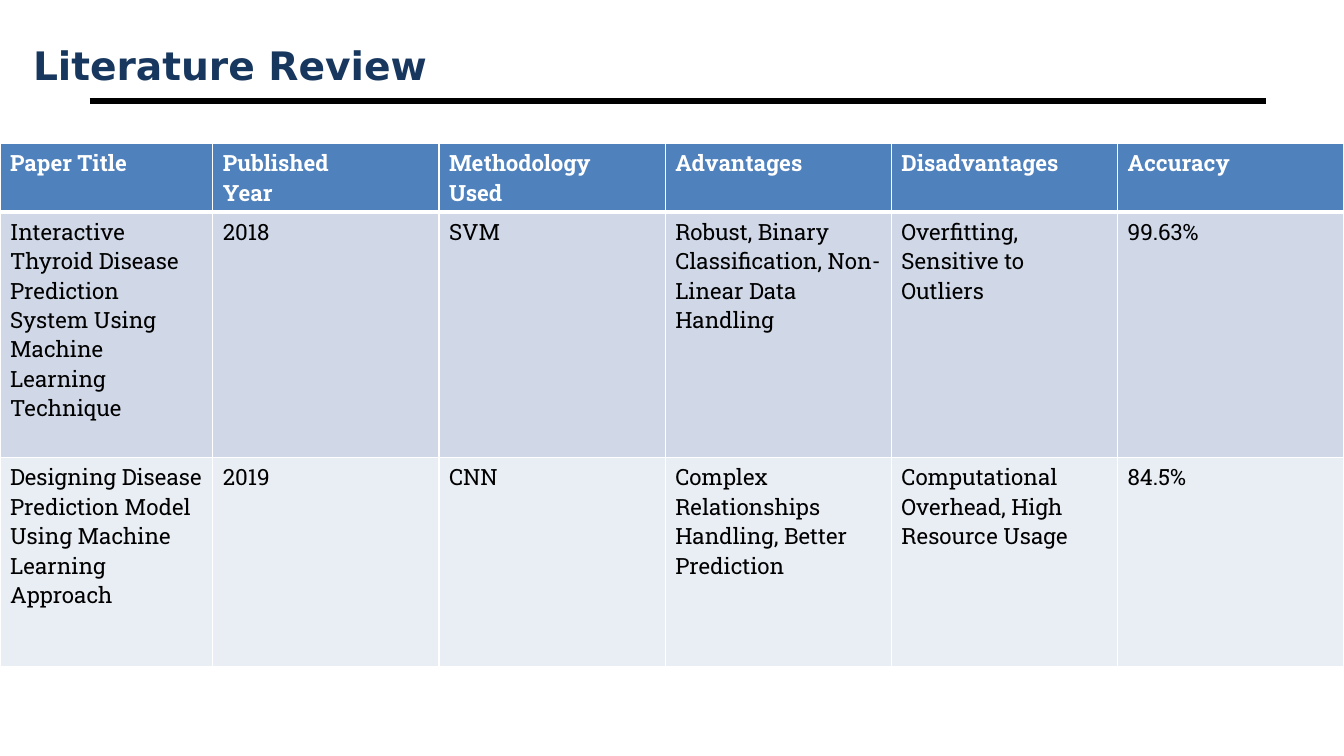
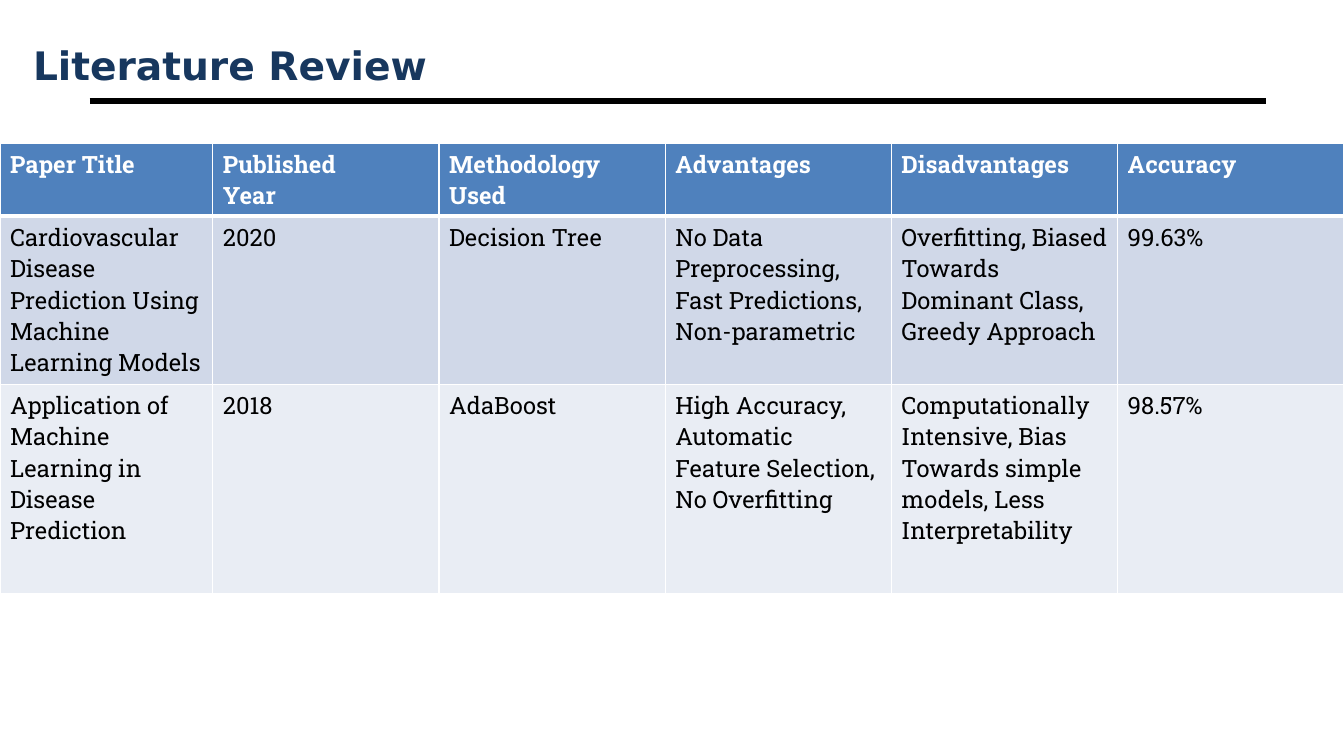
from dataclasses import dataclass

from lxml.etree import SubElement
from pptx import Presentation
from pptx.dml.color import RGBColor
from pptx.enum.shapes import MSO_CONNECTOR
from pptx.enum.text import MSO_ANCHOR
from pptx.oxml.ns import qn
from pptx.presentation import Presentation as Deck
from pptx.slide import Slide
from pptx.table import _Cell as Cell
from pptx.util import Pt

STRAIGHT = MSO_CONNECTOR.STRAIGHT
MIDDLE = MSO_ANCHOR.MIDDLE


@dataclass(frozen=True)
class Theme:
    title: str = "17375E"
    rule: str = "000000"
    head: str = "4F81BD"
    bands: tuple[str, str] = ("D0D8E8", "E9EDF4")
    ink: str = "000000"
    white: str = "FFFFFF"
    title_font: str = "DejaVu Sans"
    body_font: str = "Roboto Slab"
    title_size: float = 28
    rule_width: float = 4.5
    thin: float = 1
    thick: float = 3


@dataclass(frozen=True)
class Paper:
    title: str
    year: str
    method: str
    pros: str
    cons: str
    score: str

    def cells(self) -> tuple[str, ...]:
        return self.title, self.year, self.method, self.pros, self.cons, self.score


@dataclass(frozen=True)
class Review:
    size: float
    heights: tuple[float, float, float]
    papers: tuple[Paper, Paper]


THEME = Theme()
WIDTH, HEIGHT = 960, 540
TITLE = "Literature Review"
TITLE_LEFT, TITLE_TOP, TITLE_HEIGHT = 16.5, 27.4, 38.2
RULE_LEFT, RULE_RIGHT, RULE_TOP = 64, 904, 72
TABLE_TOP = 102.4
FIRST_WIDTH = 152
HEADS = ("Paper Title", "Published \nYear", "Methodology\nUsed",
         "Advantages", "Disadvantages", "Accuracy")

REVIEWS = (
    Review(16, (49, 175.5, 149.5), (
        Paper("Interactive Thyroid Disease Prediction System Using Machine Learning Technique",
              "2018", "SVM",
              "Robust, Binary Classification, Non-Linear Data Handling",
              "Overfitting, Sensitive to Outliers", "99.63%"),
        Paper("Designing Disease Prediction Model Using Machine Learning Approach",
              "2019", "CNN",
              "Complex Relationships Handling, Better Prediction",
              "Computational Overhead, High Resource Usage", "84.5%"),
    )),
    Review(17, (52, 120, 149.5), (
        Paper("Cardiovascular Disease Prediction Using Machine Learning Models",
              "2020", "Decision Tree",
              "No Data Preprocessing, Fast Predictions, Non-parametric",
              "Overfitting, Biased Towards Dominant Class, Greedy Approach", "99.63%"),
        Paper("Application of Machine Learning in Disease Prediction",
              "2018", "AdaBoost",
              "High Accuracy, Automatic Feature Selection, No Overfitting",
              "Computationally Intensive, Bias Towards simple models, Less Interpretability",
              "98.57%"),
    )),
)


def rgb(code: str) -> RGBColor:
    return RGBColor.from_string(code)


def add_rule(slide: Slide) -> None:
    rule = slide.shapes.add_connector(
        STRAIGHT, Pt(RULE_LEFT), Pt(RULE_TOP), Pt(RULE_RIGHT), Pt(RULE_TOP))
    rule.line.color.rgb = rgb(THEME.rule)
    rule.line.width = Pt(THEME.rule_width)
    SubElement(rule._element.spPr, qn("a:effectLst"))


def add_title(slide: Slide) -> None:
    box = slide.shapes.add_textbox(
        Pt(TITLE_LEFT), Pt(TITLE_TOP), Pt(WIDTH - TITLE_LEFT), Pt(TITLE_HEIGHT))
    frame = box.text_frame
    frame.word_wrap = True
    frame.vertical_anchor = MIDDLE
    frame.text = TITLE
    font = frame.paragraphs[0].font
    font.name = THEME.title_font
    font.size = Pt(THEME.title_size)
    font.bold = True
    font.color.rgb = rgb(THEME.title)


def add_edges(cell: Cell, top: float, base: float) -> None:
    props = cell._tc.get_or_add_tcPr()
    edges = {"L": THEME.thin, "R": THEME.thin, "T": top, "B": base}
    for side, width in edges.items():
        line = SubElement(props, qn(f"a:ln{side}"), w=str(Pt(width)))
        fill = SubElement(line, qn("a:solidFill"))
        SubElement(fill, qn("a:srgbClr"), val=THEME.white)


def fill_cell(cell: Cell, text: str, size: float, row: int) -> None:
    head = row == 0
    add_edges(cell, THEME.thick if row == 1 else THEME.thin,
              THEME.thick if head else THEME.thin)
    cell.fill.solid()
    cell.fill.fore_color.rgb = rgb(THEME.head if head else THEME.bands[(row - 1) % 2])
    cell.text = text
    for para in cell.text_frame.paragraphs:
        para.font.name = THEME.body_font
        para.font.size = Pt(size)
        para.font.bold = head
        para.font.color.rgb = rgb(THEME.white if head else THEME.ink)


def add_grid(slide: Slide, review: Review) -> None:
    rows = (HEADS, *(paper.cells() for paper in review.papers))
    table = slide.shapes.add_table(
        len(rows), len(HEADS), 0, Pt(TABLE_TOP),
        Pt(WIDTH), Pt(sum(review.heights))).table
    table.horz_banding = False
    rest = (WIDTH - FIRST_WIDTH) / (len(HEADS) - 1)
    for index, column in enumerate(table.columns):
        column.width = Pt(rest if index else FIRST_WIDTH)
    for row, texts in enumerate(rows):
        table.rows[row].height = Pt(review.heights[row])
        for column, text in enumerate(texts):
            fill_cell(table.cell(row, column), text, review.size, row)


def add_review(deck: Deck, review: Review) -> None:
    slide = deck.slides.add_slide(deck.slide_layouts[6])
    add_rule(slide)
    add_title(slide)
    add_grid(slide, review)


def main() -> None:
    deck = Presentation()
    deck.slide_width, deck.slide_height = Pt(WIDTH), Pt(HEIGHT)
    for review in REVIEWS:
        add_review(deck, review)
    deck.save("out.pptx")


main()
